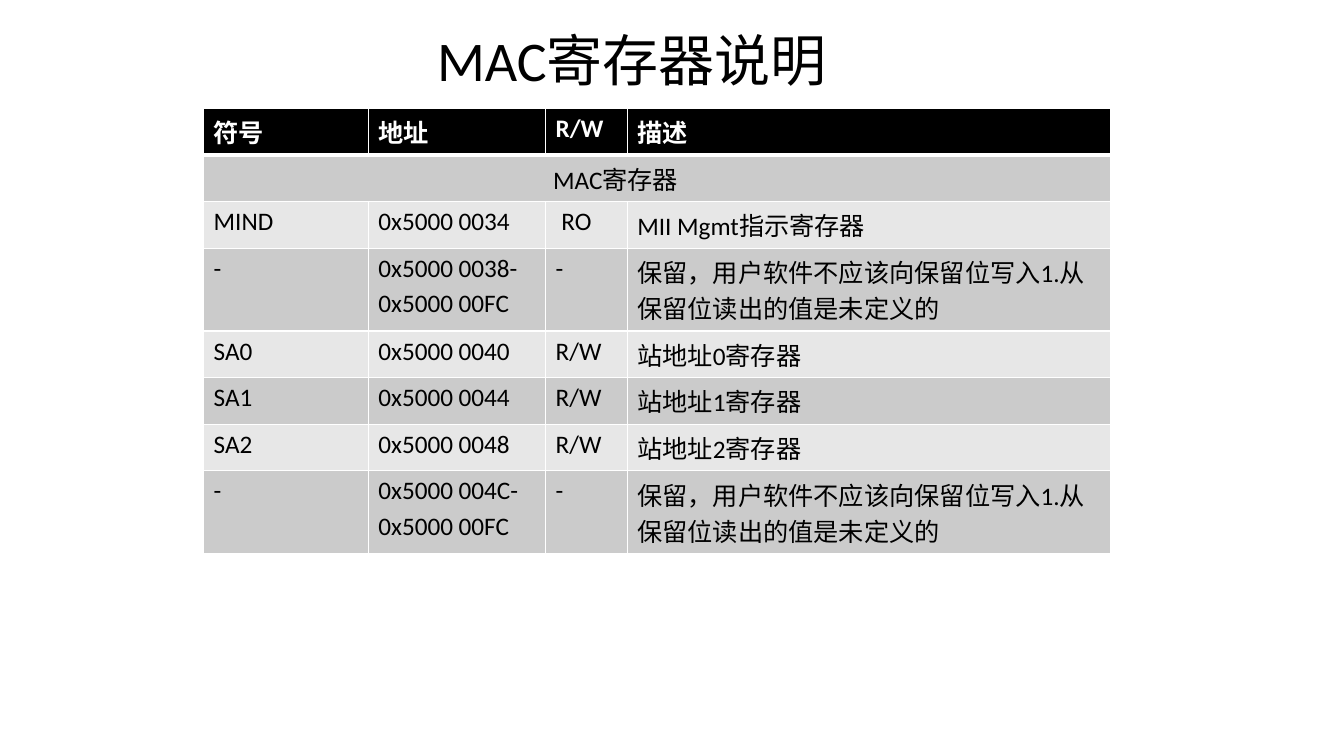
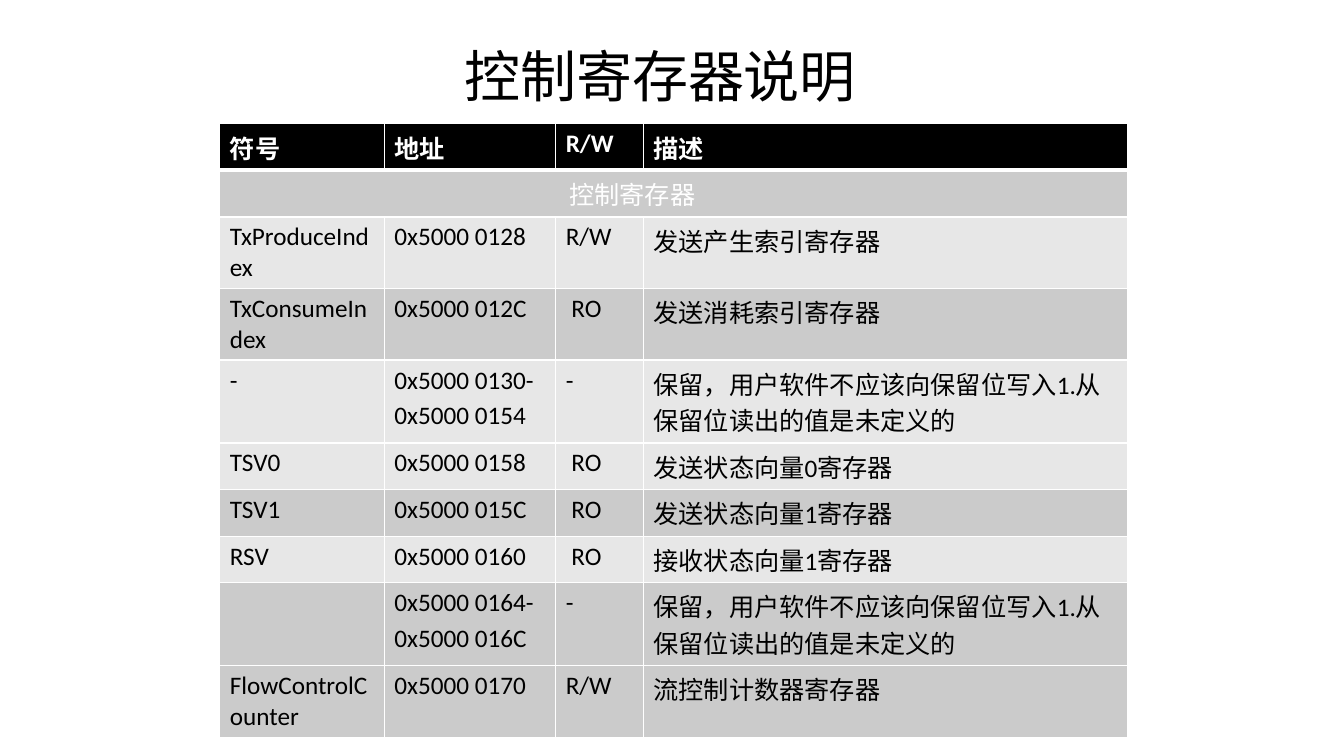
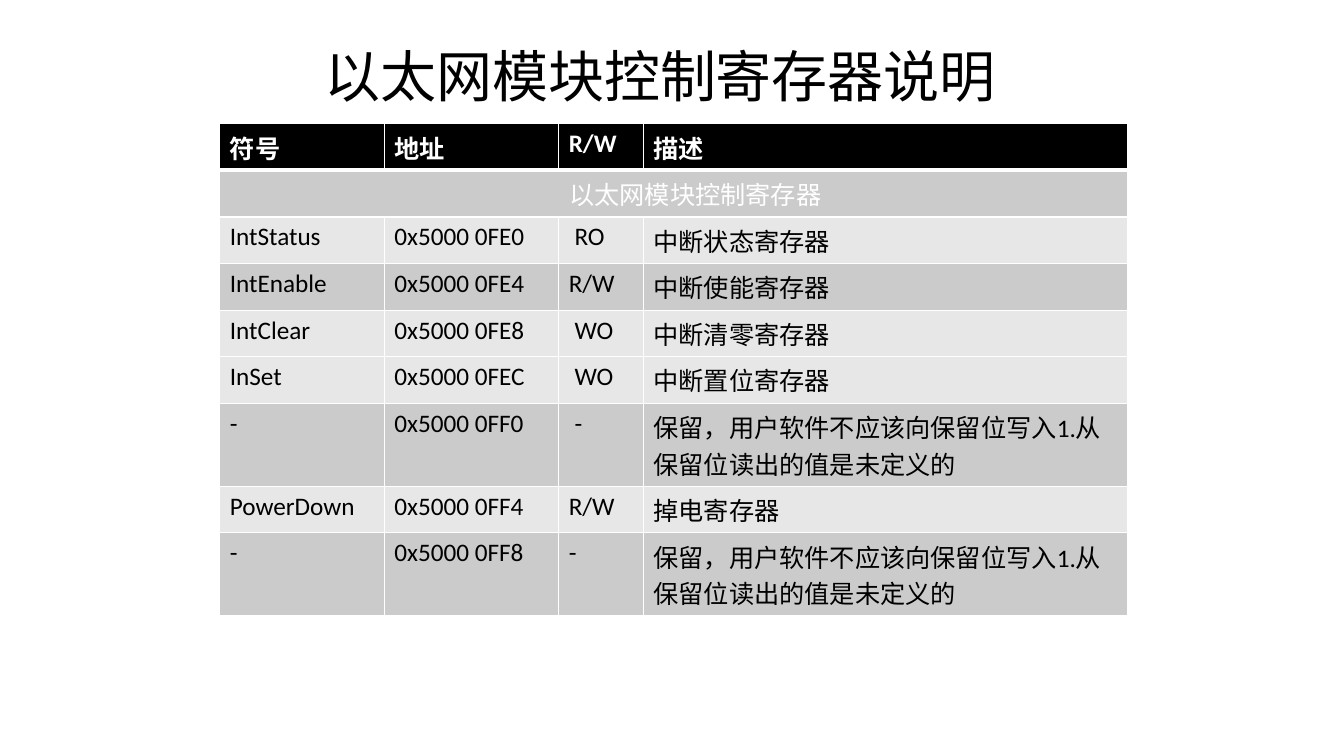
"""Build three slides of Ethernet register tables."""
import lxml.etree
import pptx
import pptx.dml.color
import pptx.enum.text
import pptx.oxml.ns
import pptx.util

COLORS = {"black": "000000", "white": "FFFFFF", "dark": "CBCBCB", "light": "E7E7E7"}
BANDS = {"D": "dark", "L": "light"}
HEADINGS = ("符号", "地址", "R/W", "描述")
RESERVED = "保留，用户软件不应该向保留位写入1.从保留位读出的值是未定义的"
ONE_LINE, TWO_LINES, WRAPPED = 1.85, 3.29, 2.84


class RegisterDeck:
    """Hold the shared style, the grid and the current slide."""

    font = "Calibri"
    columns, rows = 40, 30
    symbol_width, middle_width, description_width = 4.9, 7.71, 14.4
    access_indent, section_indent = 0.47, 10.4

    def __init__(self):
        """Open a wide deck."""
        self.deck = pptx.Presentation()
        self.deck.slide_width = pptx.util.Inches(13.33)
        self.deck.slide_height = pptx.util.Inches(7.5)
        self.slide = None

    def across(self, count):
        """Return the width of some grid columns."""
        return round(self.deck.slide_width * count / self.columns)

    def down(self, count):
        """Return the height of some grid rows."""
        return round(self.deck.slide_height * count / self.rows)

    def style(self, paragraph, size, color, bold=False):
        """Set the font of a paragraph."""
        paragraph.font.name = self.font
        paragraph.font.size = pptx.util.Pt(size)
        paragraph.font.bold = bold
        paragraph.font.color.rgb = pptx.dml.color.RGBColor.from_string(COLORS[color])

    def add_slide(self, title, left, top, width, height):
        """Start a slide with a centred title."""
        self.slide = self.deck.slides.add_slide(self.deck.slide_layouts[5])
        box = self.slide.shapes.title
        box.left, box.top = self.across(left), self.down(top)
        box.width, box.height = self.across(width), self.down(height)
        frame = box.text_frame
        frame.text = title
        frame.word_wrap = True
        frame.auto_size = pptx.enum.text.MSO_AUTO_SIZE.SHAPE_TO_FIT_TEXT
        frame.vertical_anchor = pptx.enum.text.MSO_ANCHOR.TOP
        paragraph = frame.paragraphs[0]
        paragraph.alignment = pptx.enum.text.PP_ALIGN.CENTER
        self.style(paragraph, 40, "black")

    def border(self, cell, top, bottom):
        """Draw white lines around a cell."""
        properties = cell._tc.get_or_add_tcPr()
        for side, points in (("L", 1), ("R", 1), ("T", top), ("B", bottom)):
            line = lxml.etree.SubElement(properties, pptx.oxml.ns.qn(f"a:ln{side}"))
            line.set("w", str(pptx.util.Pt(points)))
            fill = lxml.etree.SubElement(line, pptx.oxml.ns.qn("a:solidFill"))
            color = lxml.etree.SubElement(fill, pptx.oxml.ns.qn("a:srgbClr"))
            color.set("val", COLORS["white"])

    def fill_cell(self, cell, text, fill, color, bold):
        """Write and colour one cell."""
        cell.fill.solid()
        cell.fill.fore_color.rgb = pptx.dml.color.RGBColor.from_string(COLORS[fill])
        cell.text = text
        for index, paragraph in enumerate(cell.text_frame.paragraphs):
            if index:
                paragraph.space_before = pptx.util.Pt(3.6)
            self.style(paragraph, 18, color, bold)

    def add_registers(self, left, top, address_width, heights, section, section_color,
                      bands, indented, registers):
        """Add a register table with a heading row and a section row."""
        widths = (self.symbol_width, address_width,
                  self.middle_width - address_width, self.description_width)
        content = [HEADINGS, (section, "", "", ""), *registers]
        table = self.slide.shapes.add_table(
            len(content), len(widths), self.across(left), self.down(top),
            self.across(sum(widths)), self.down(sum(heights))).table
        for column, width in zip(table.columns, widths):
            column.width = self.across(width)
        for number, (texts, height) in enumerate(zip(content, heights)):
            table.rows[number].height = self.down(height)
            heading = number == 0
            fill = "black" if heading else BANDS[bands[number - 1]]
            color = {0: "white", 1: section_color}.get(number, "black")
            for cell, text in zip(table.rows[number].cells, texts):
                self.border(cell, 3 if number == 1 else 1, 3 if heading else 1)
                self.fill_cell(cell, text, fill, color, heading)
            if number in indented:
                table.cell(number, 2).margin_left = self.across(self.access_indent)
        table.cell(1, 0).merge(table.cell(1, 3))
        table.cell(1, 0).margin_left = self.across(self.section_indent)


def main():
    """Build and save the deck."""
    deck = RegisterDeck()

    deck.add_slide("MAC寄存器说明", 7.24, 0.82, 23.13, 3.08)
    deck.add_registers(
        6.06, 4.3, 5.28,
        [ONE_LINE] * 3 + [TWO_LINES] + [ONE_LINE] * 3 + [TWO_LINES],
        "MAC寄存器", "black", "DLDLDLD", {2}, [
            ("MIND", "0x5000 0034", "RO", "MII Mgmt指示寄存器"),
            ("-", "0x5000 0038-\n0x5000 00FC", "-", RESERVED),
            ("SA0", "0x5000 0040", "R/W", "站地址0寄存器"),
            ("SA1", "0x5000 0044", "R/W", "站地址1寄存器"),
            ("SA2", "0x5000 0048", "R/W", "站地址2寄存器"),
            ("-", "0x5000 004C-\n0x5000 00FC", "-", RESERVED),
        ])

    deck.add_slide("控制寄存器说明", 7.48, 1.44, 24.33, 4.28)
    deck.add_registers(
        6.54, 4.91, 5.1,
        [ONE_LINE, ONE_LINE, WRAPPED, WRAPPED, TWO_LINES,
         ONE_LINE, ONE_LINE, ONE_LINE, TWO_LINES, WRAPPED],
        "控制寄存器", "white", "DLDLLDLDD", {3, 5, 6, 7}, [
            ("TxProduceIndex", "0x5000 0128", "R/W", "发送产生索引寄存器"),
            ("TxConsumeIndex", "0x5000 012C", "RO", "发送消耗索引寄存器"),
            ("-", "0x5000 0130-\n0x5000 0154", "-", RESERVED),
            ("TSV0", "0x5000 0158", "RO", "发送状态向量0寄存器"),
            ("TSV1", "0x5000 015C", "RO", "发送状态向量1寄存器"),
            ("RSV", "0x5000 0160", "RO", "接收状态向量1寄存器"),
            ("", "0x5000 0164-\n0x5000 016C", "-", RESERVED),
            ("FlowControlCounter", "0x5000 0170", "R/W", "流控制计数器寄存器"),
        ])

    deck.add_slide("以太网模块控制寄存器说明", 7.48, 1.44, 24.33, 4.28)
    deck.add_registers(
        6.54, 4.91, 5.19,
        [ONE_LINE] * 6 + [TWO_LINES, ONE_LINE, TWO_LINES],
        "以太网模块控制寄存器", "white", "DLDLLDLD", {2, 4, 5, 6}, [
            ("IntStatus", "0x5000 0FE0", "RO", "中断状态寄存器"),
            ("IntEnable", "0x5000 0FE4", "R/W", "中断使能寄存器"),
            ("IntClear", "0x5000 0FE8", "WO", "中断清零寄存器"),
            ("InSet", "0x5000 0FEC", "WO", "中断置位寄存器"),
            ("-", "0x5000 0FF0", "-", RESERVED),
            ("PowerDown", "0x5000 0FF4", "R/W", "掉电寄存器"),
            ("-", "0x5000 0FF8", "-", RESERVED),
        ])

    deck.deck.save("out.pptx")


if __name__ == "__main__":
    main()
